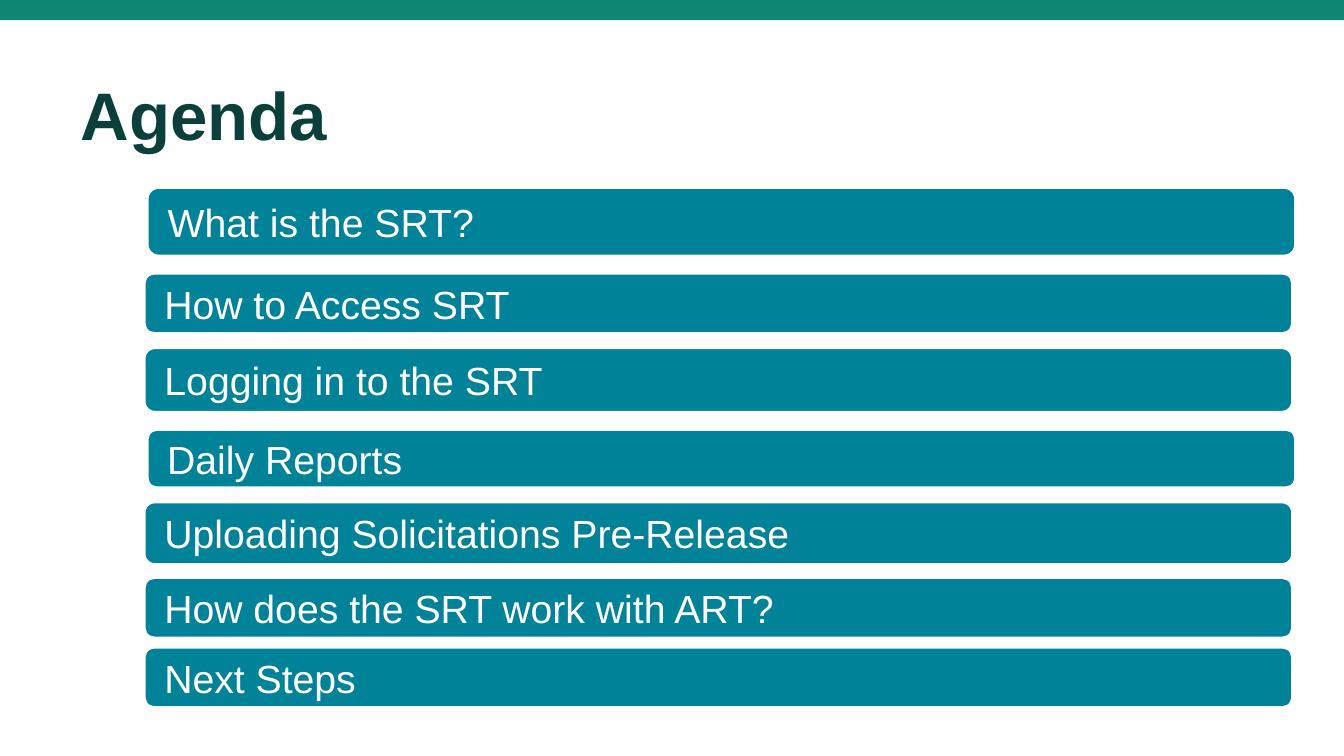
from pptx import Presentation
from pptx.dml.color import RGBColor
from pptx.enum.shapes import MSO_SHAPE as Shape
from pptx.enum.text import MSO_ANCHOR as Anchor, PP_ALIGN as Align
from pptx.util import Inches, Pt

FONT = "Arial"
GREEN = "0E8775"
DARK_GREEN = "0B3F3A"
TEAL = "008299"
WHITE = "FFFFFF"

BAR_WIDTH = 11.39
AGENDA = [
    ("What is the SRT?", 1.46, 1.86, 0.68),
    ("How to Access SRT", 1.43, 2.71, 0.6),
    ("Logging in to the SRT", 1.43, 3.45, 0.64),
    ("Daily Reports", 1.46, 4.26, 0.58),
    ("Uploading Solicitations Pre-Release", 1.43, 4.98, 0.62),
    ("How does the SRT work with ART?", 1.43, 5.73, 0.6),
    ("Next Steps", 1.43, 6.42, 0.6),
]


def color(code):
    """Turn a hex string into a colour."""
    return RGBColor.from_string(code)


def write(frame, text, *, size, ink, bold=False, anchor=Anchor.TOP,
          left=0, right=0, bottom=0, spacing=None):
    """Write one formatted paragraph into a text frame."""
    frame.word_wrap = True
    frame.vertical_anchor = anchor
    frame.margin_left, frame.margin_right = Inches(left), Inches(right)
    frame.margin_top, frame.margin_bottom = Inches(0.05), Inches(bottom)
    para = frame.paragraphs[0]
    para.alignment = Align.LEFT
    para.line_spacing = spacing
    span = para.add_run()
    span.text = text
    span.font.name = FONT
    span.font.size = Pt(size)
    span.font.bold = bold
    span.font.color.rgb = color(ink)


def add_panel(page, kind, left, top, width, height, *, fill, line=None):
    """Add a filled shape, outlined if a line colour is given."""
    panel = page.shapes.add_shape(
        kind, Inches(left), Inches(top), Inches(width), Inches(height))
    panel.shadow.inherit = False
    panel.fill.solid()
    panel.fill.fore_color.rgb = color(fill)
    if line:
        panel.line.color.rgb = color(line)
        panel.line.width = Pt(2)
    else:
        panel.line.fill.background()
    return panel


def add_title(page, text):
    """Add the slide heading."""
    box = page.shapes.add_textbox(
        Inches(0.8), Inches(0.77), Inches(11.73), Inches(1.2))
    write(box.text_frame, text, size=48, ink=DARK_GREEN, bold=True, spacing=0.9)


def add_agenda_bar(page, text, left, top, height):
    """Add one rounded agenda bar with its label."""
    bar = add_panel(page, Shape.ROUNDED_RECTANGLE, left, top, BAR_WIDTH, height,
                    fill=TEAL, line=WHITE)
    write(bar.text_frame, text, size=28, ink=WHITE, anchor=Anchor.MIDDLE,
          left=0.17, right=0.1, bottom=0.05)


def main():
    """Build and save the agenda slide."""
    deck = Presentation()
    deck.slide_width, deck.slide_height = Inches(13.33), Inches(7.5)
    page = deck.slides.add_slide(deck.slide_layouts[6])
    add_panel(page, Shape.RECTANGLE, 0, 0, 13.33, 0.2, fill=GREEN)
    add_title(page, "Agenda")
    for item in AGENDA:
        add_agenda_bar(page, *item)
    deck.save("out.pptx")


if __name__ == "__main__":
    main()
